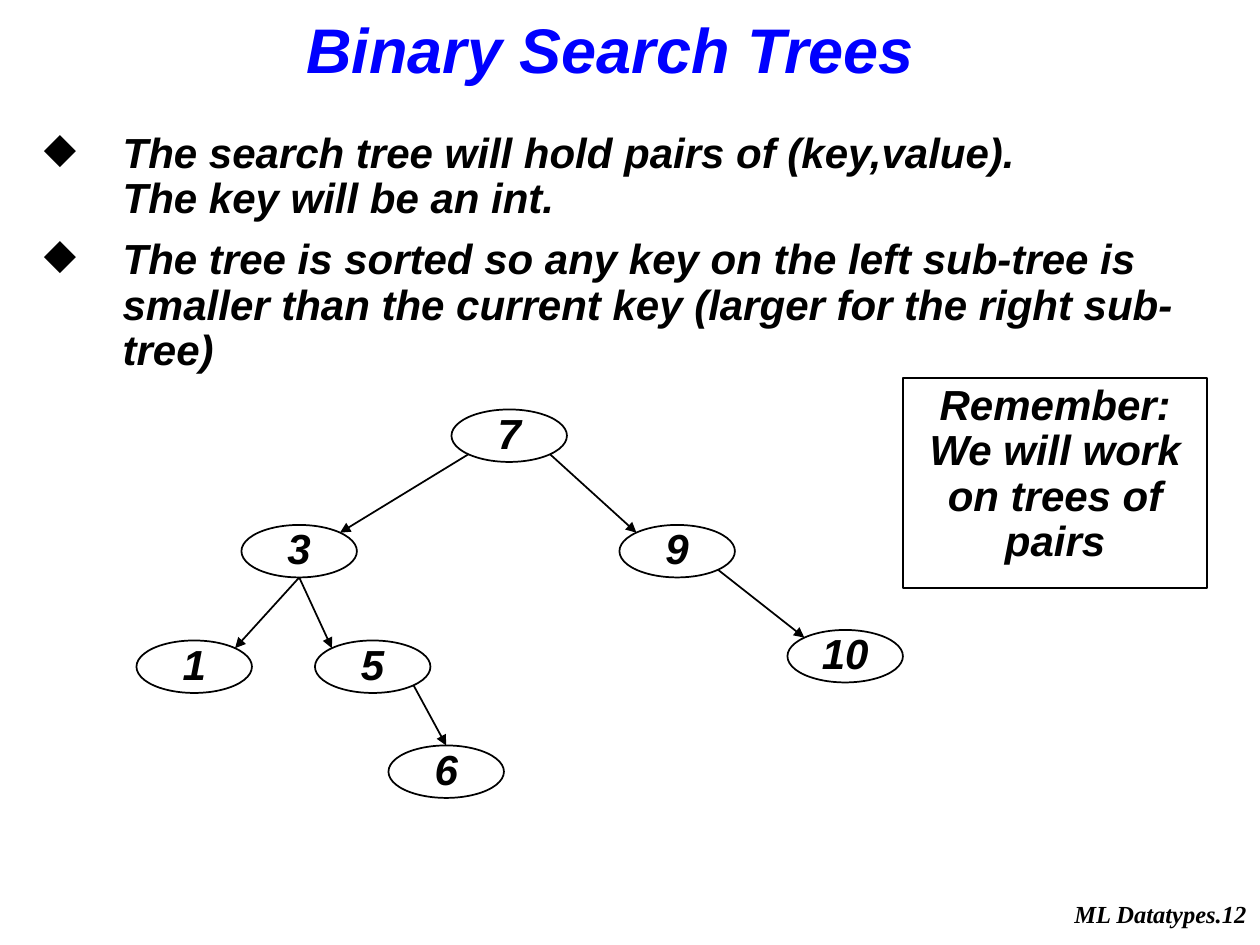
import math
from dataclasses import dataclass

import pptx
import pptx.dml.color
import pptx.enum.shapes
import pptx.enum.text
import pptx.oxml
import pptx.oxml.ns
import pptx.util

Pt = pptx.util.Pt
RGB = pptx.dml.color.RGBColor
ALIGN = pptx.enum.text.PP_ALIGN
ANCHOR = pptx.enum.text.MSO_ANCHOR
SHAPE = pptx.enum.shapes.MSO_SHAPE


@dataclass(frozen=True)
class Theme:
    ink: RGB = RGB(0, 0, 0)
    title_color: RGB = RGB(0, 0, 255)
    font: str = "Arial"
    footer_font: str = "Times New Roman"
    title_size: int = 36
    body_size: int = 24
    footer_size: int = 14
    line_width: int = 1


THEME = Theme()

NODE_W, NODE_H = 66, 30
NODES = {
    "7": (258, 234),
    "3": (138, 300),
    "1": (78, 366),
    "5": (180, 366),
    "6": (222, 426),
    "9": (354, 300),
    "10": (450, 360),
}
DIAGONAL = math.sqrt(0.5)
SITES = {
    "top": (0, -1),
    "bottom": (0, 1),
    "top left": (-DIAGONAL, -DIAGONAL),
    "top right": (DIAGONAL, -DIAGONAL),
    "bottom left": (-DIAGONAL, DIAGONAL),
    "bottom right": (DIAGONAL, DIAGONAL),
}
EDGES = [
    ("7", "bottom left", "3", "top right"),
    ("3", "bottom", "1", "top right"),
    ("3", "bottom", "5", "top left"),
    ("5", "bottom right", "6", "top"),
    ("7", "bottom right", "9", "top left"),
    ("9", "bottom right", "10", "top left"),
]
BULLETS = [
    "The search tree will hold pairs of (key,value).\vThe key will be an int.",
    "The tree is sorted so any key on the left sub-tree is smaller than "
    "the current key (larger for the right sub-tree)",
]


def add_xml(parent, tag, **attrs):
    el = pptx.oxml.parse_xml(f"<{tag} {pptx.oxml.ns.nsdecls('a')}/>")
    for name, value in attrs.items():
        el.set(name, value)
    parent.append(el)
    return el


def write_text(sp, lines, size=THEME.body_size, color=THEME.ink, font=THEME.font,
               align=ALIGN.CENTER, anchor=ANCHOR.TOP, wrap=True, spacing=0.9, before=0):
    tf = sp.text_frame
    tf.word_wrap = wrap
    tf.vertical_anchor = anchor
    for i, line in enumerate(lines):
        p = tf.add_paragraph() if i else tf.paragraphs[0]
        p.text = line
        p.alignment = align
        p.line_spacing = spacing
        p.space_before = Pt(before)
        for r in p.runs:
            r.font.name = font
            r.font.size = Pt(size)
            r.font.bold = r.font.italic = True
            r.font.color.rgb = color
    return tf


def add_text(s, box, lines, **style):
    sp = s.shapes.add_textbox(*map(Pt, box))
    return write_text(sp, lines, **style)


def add_bullets(s, box, lines):
    tf = add_text(s, box, lines, align=ALIGN.LEFT, before=9)
    for p in tf.paragraphs:
        pPr = p._p.get_or_add_pPr()
        pPr.set("marL", str(Pt(45)))
        pPr.set("indent", str(Pt(-45)))
        add_xml(pPr, "a:buChar", char="◆")


def add_outline(s, kind, box, text, **style):
    sp = s.shapes.add_shape(kind, *map(Pt, box))
    sp.shadow.inherit = False
    sp.fill.background()
    sp.line.color.rgb = THEME.ink
    sp.line.width = Pt(THEME.line_width)
    write_text(sp, [text], **style)


def site_point(node, site):
    x, y = NODES[node]
    dx, dy = SITES[site]
    return Pt(x + NODE_W / 2 * (1 + dx)), Pt(y + NODE_H / 2 * (1 + dy))


def add_arrow(s, start, end):
    line = s.shapes.add_connector(pptx.enum.shapes.MSO_CONNECTOR.STRAIGHT, *start, *end)
    line.line.color.rgb = THEME.ink
    line.line.width = Pt(THEME.line_width)
    add_xml(line.line._get_or_add_ln(), "a:tailEnd", type="triangle")
    add_xml(line._element.spPr, "a:effectLst")


def main():
    prs = pptx.Presentation()
    prs.slide_width, prs.slide_height = Pt(720), Pt(540)
    s = prs.slides.add_slide(prs.slide_layouts[6])

    add_text(s, (569.5, 504, 150, 36), ["ML Datatypes.12"], size=THEME.footer_size,
             font=THEME.footer_font, align=ALIGN.RIGHT, anchor=ANCHOR.MIDDLE,
             wrap=False, spacing=1.0)
    title = add_text(s, (23, 6.5, 651.5, 46), ["Binary Search Trees"],
                     size=THEME.title_size, color=THEME.title_color,
                     spacing=0.97, before=8.5)
    title.margin_left = title.margin_right = Pt(5)
    title.margin_top = title.margin_bottom = Pt(2.2)
    add_bullets(s, (18, 72, 672, 409), BULLETS)

    for key, (x, y) in NODES.items():
        add_outline(s, SHAPE.OVAL, (x, y, NODE_W, NODE_H), key,
                    anchor=ANCHOR.MIDDLE, wrap=False)
    for parent, leave, child, arrive in EDGES:
        add_arrow(s, site_point(parent, leave), site_point(child, arrive))

    add_outline(s, SHAPE.RECTANGLE, (516, 216, 174, 120),
                "Remember: We will work on trees of pairs")
    prs.save("out.pptx")


if __name__ == "__main__":
    main()
